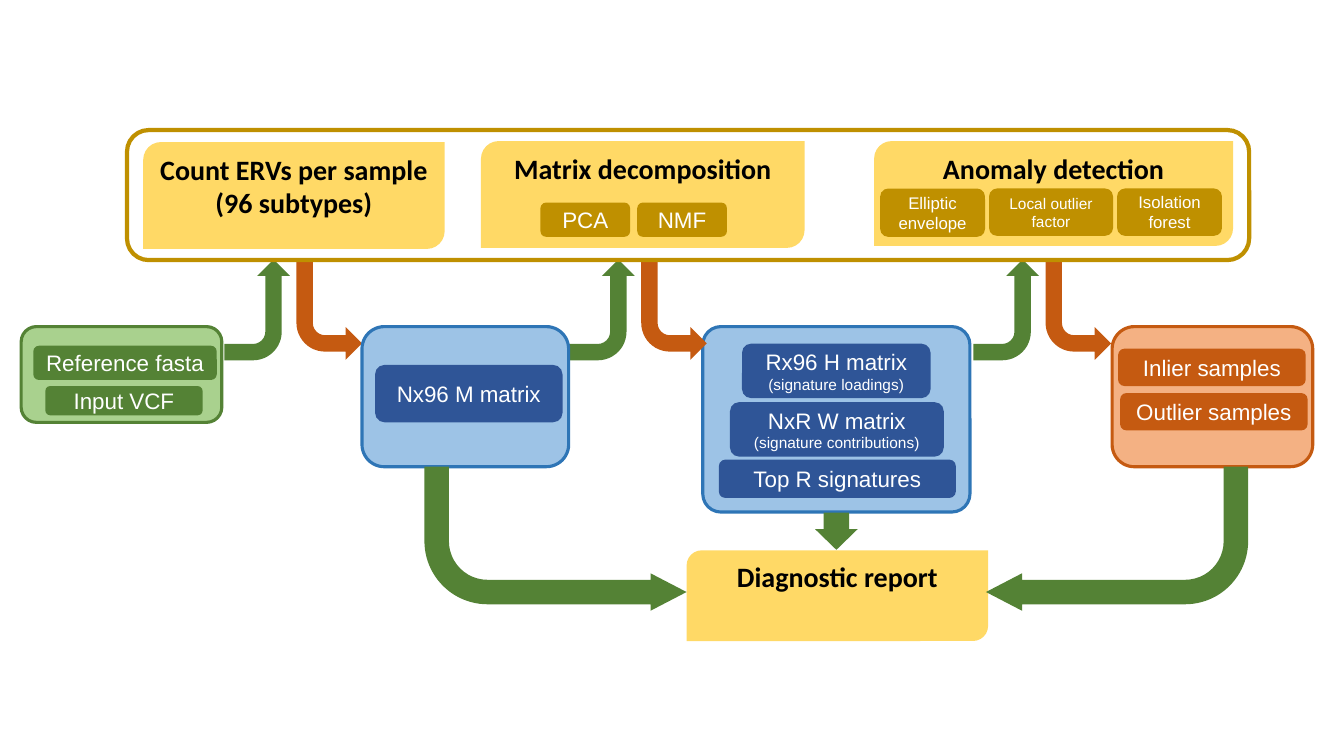
from dataclasses import dataclass

from pptx import Presentation
from pptx.dml.color import RGBColor
from pptx.enum.shapes import MSO_SHAPE as Geo
from pptx.enum.text import MSO_ANCHOR as Anchor, PP_ALIGN as Align
from pptx.util import Inches, Pt


@dataclass(frozen=True)
class Theme:
    """Colours, fonts and type sizes of the slide."""
    white: str = "FFFFFF"
    black: str = "000000"
    green: str = "548235"
    light_green: str = "A9D18E"
    navy: str = "2F5597"
    blue: str = "2E75B6"
    light_blue: str = "9DC3E6"
    orange: str = "C55A11"
    light_orange: str = "F4B183"
    gold: str = "BF9000"
    yellow: str = "FFD966"
    body_font: str = "Arial"
    head_font: str = "Calibri"
    head: int = 20
    body: int = 16
    small: int = 12
    note: int = 11


T = Theme()
COLS, ROWS = 133.3, 75
CELL = Inches(0.1)
PANEL_ROUND = 0.159


def cells(n):
    """Convert grid cells to a length."""
    return round(n * CELL)


def draw(shapes, geo, box, fill=None, line=None, weight=2.25, adj=()):
    """Add a flat preset shape in a box of grid cells."""
    sp = shapes.add_shape(geo, *map(cells, box))
    sp.shadow.inherit = False
    if fill:
        sp.fill.solid()
        sp.fill.fore_color.rgb = RGBColor.from_string(fill)
    else:
        sp.fill.background()
    if line:
        sp.line.color.rgb = RGBColor.from_string(line)
        sp.line.width = Pt(weight)
    else:
        sp.line.fill.background()
    for i, value in enumerate(adj):
        sp.adjustments[i] = value
    return sp


def write(sp, text, note="", size=T.body, font=T.body_font, color=T.white,
          bold=False, anchor=Anchor.MIDDLE):
    """Set centred text, with an optional smaller note after it."""
    tf = sp.text_frame
    tf.word_wrap = True
    tf.vertical_anchor = anchor
    p = tf.paragraphs[0]
    p.alignment = Align.CENTER
    for part, pts in ((text, size), (note, T.note)):
        if part:
            r = p.add_run()
            r.text = part
            r.font.size = Pt(pts)
            r.font.name = font
            r.font.bold = bold
            r.font.color.rgb = RGBColor.from_string(color)


def add_pills(shapes, box, fill, pills):
    """Place labelled pills at offsets from the corner of a box."""
    for (dx, dy, w, h), text, style in pills:
        sp = draw(shapes, Geo.ROUNDED_RECTANGLE,
                  (box[0] + dx, box[1] + dy, w, h), fill)
        write(sp, text, **style)


def data_panel(s, box, fill, line, pill_fill, pills, radius=PANEL_ROUND):
    """Draw an outlined data panel with its pills."""
    shapes = s.shapes.add_group_shape().shapes
    draw(shapes, Geo.ROUNDED_RECTANGLE, box, fill, line, adj=[radius])
    add_pills(shapes, box, pill_fill, pills)


def step_card(s, box, title, pills=()):
    """Draw a yellow step card with a heading and its method pills."""
    shapes = s.shapes.add_group_shape().shapes
    sp = draw(shapes, Geo.ROUND_2_DIAG_RECTANGLE, box, T.yellow)
    write(sp, title, size=T.head, font=T.head_font, color=T.black,
          bold=True, anchor=Anchor.TOP)
    add_pills(shapes, box, T.gold, pills)


def bent_arrow(s, box, fill, mirror=False, rotation=0, adj=()):
    """Draw a bent arrow flipped upside down."""
    sp = draw(s.shapes, Geo.BENT_ARROW, box, fill, adj=adj)
    xfrm = sp.element.spPr.get_or_add_xfrm()
    xfrm.set("flipV", "1")
    if mirror:
        xfrm.set("flipH", "1")
    sp.rotation = rotation


def step_arrows(s, x):
    """Draw the arrow up into a step and the arrow down out of it."""
    bent_arrow(s, (x, 27.5, 10, 6.5), T.green, rotation=270)
    bent_arrow(s, (x + 8.9, 25.7, 6.5, 10), T.orange)


def report(s, box):
    """Draw the report card and the three arrows leading to it."""
    x, y, w, h = box
    step_card(s, box, "Diagnostic report")
    reach, rise, bend = 26, 14.3, (0.17, 0.13, 0.25, 0.438)
    top = y - 8.3
    bent_arrow(s, (x - reach, top, reach, rise), T.green, adj=bend)
    bent_arrow(s, (x + w - 0.2, top, reach, rise), T.green, True, adj=bend)
    sp = draw(s.shapes, Geo.RIGHT_ARROW, (x + w / 2 - 1.95, y - 4, 3.7, 4.2),
              T.green, adj=(0.598, 0.552))
    sp.rotation = 90


def data_row(s):
    """Draw the data panels and the arrows between them and the steps."""
    data_panel(s, (2.1, 32.4, 19.9, 9.5), T.light_green, T.green, T.green, [
        ((2.4, 5.9, 15.6, 2.9), "Input VCF", {}),
        ((1.2, 1.9, 18.2, 3.4), "Reference fasta", {})])
    data_panel(s, (69.7, 32.4, 26.5, 18.4), T.light_blue, T.blue, T.navy, [
        ((2.7, 7.5, 21.2, 5.4), "NxR W matrix ",
         {"note": "(signature contributions)"}),
        ((1.6, 13.2, 23.5, 3.8), "Top R signatures", {}),
        ((3.9, 1.7, 18.7, 5.4), "Rx96 H matrix ",
         {"note": "(signature loadings)"})], radius=0.098)
    for x in (20.5, 54.7, 94.8):
        step_arrows(s, x)
    data_panel(s, (35.9, 32.4, 20.5, 13.9), T.light_blue, T.blue, T.navy, [
        ((1.3, 3.8, 18.6, 5.7), "Nx96 M matrix", {})])
    data_panel(s, (110.3, 32.4, 19.9, 13.9), T.light_orange, T.orange, T.orange, [
        ((0.6, 2.2, 18.6, 3.7), "Inlier samples", {}),
        ((0.8, 6.6, 18.6, 3.7), "Outlier samples", {})])


def step_row(s, box):
    """Draw the three step cards and the frame around them."""
    x, y, w, h = box
    small, note = {"size": T.small}, {"size": T.note}
    step_card(s, (x + 1.6, y + 1.2, 29.9, 10.6),
              "Count ERVs per sample (96 subtypes)")
    step_card(s, (x + 35.1, y + 1.1, 32.1, 10.6), "Matrix decomposition", [
        ((5.9, 6.1, 8.9, 3.4), "PCA", {}),
        ((15.5, 6.1, 8.9, 3.4), "NMF", {})])
    step_card(s, (x + 74.1, y + 1.1, 35.6, 10.4), "Anomaly detection", [
        ((0.6, 4.7, 10.4, 4.8), "Elliptic envelope", small),
        ((11.4, 4.7, 12.3, 4.7), "Local outlier factor", note),
        ((24.1, 4.7, 10.4, 4.7), "Isolation forest", small)])
    draw(s.shapes, Geo.ROUNDED_RECTANGLE, box, line=T.gold, weight=3)


def main():
    """Build the workflow slide and save it."""
    prs = Presentation()
    prs.slide_width, prs.slide_height = cells(COLS), cells(ROWS)
    s = prs.slides.add_slide(prs.slide_layouts[6])
    data_row(s)
    report(s, (68.1, 54.6, 29.9, 9))
    step_row(s, (12.6, 12.9, 111.3, 12.9))
    prs.save("out.pptx")


if __name__ == "__main__":
    main()
